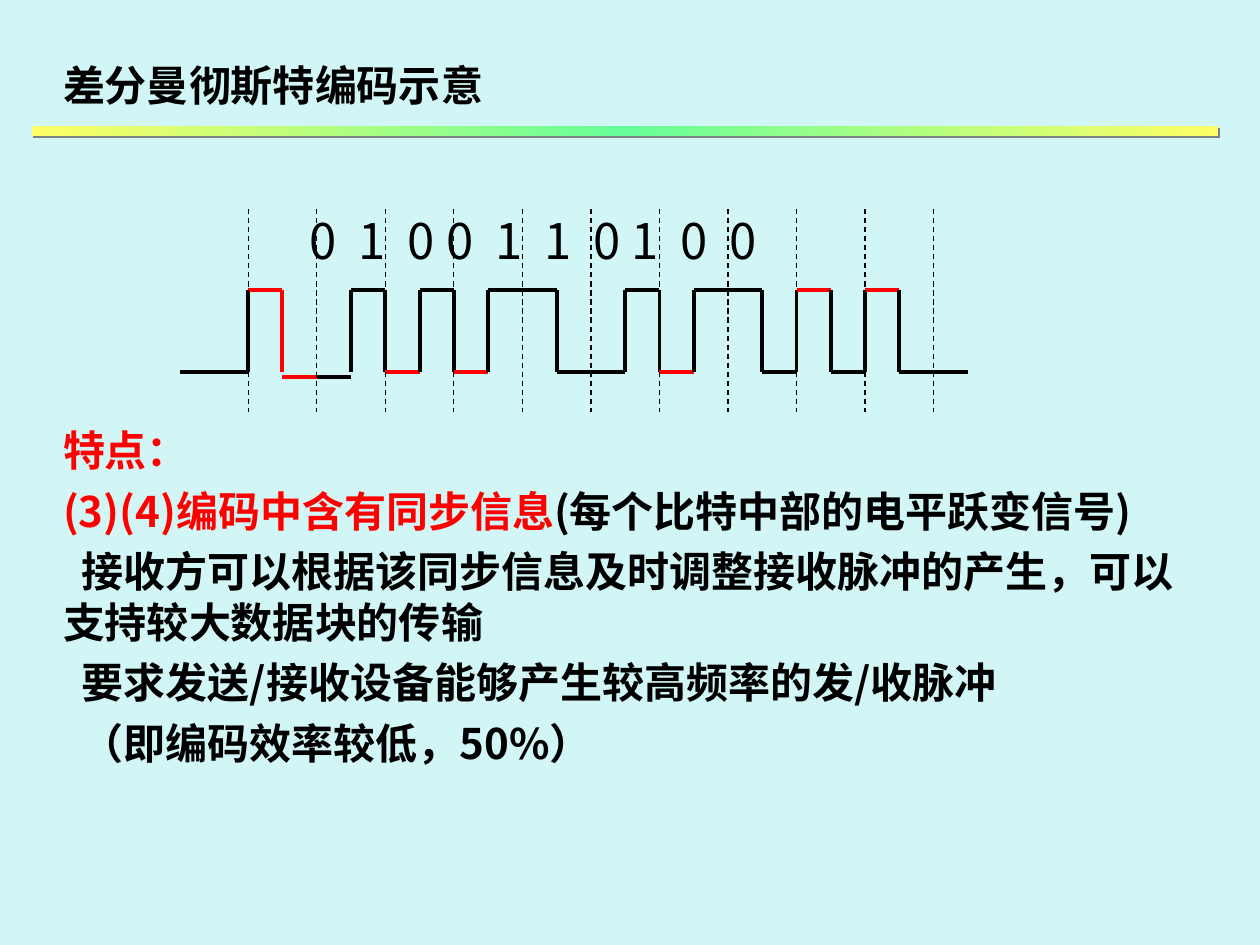
from lxml import etree
from pptx import Presentation
from pptx.dml.color import RGBColor
from pptx.enum.dml import MSO_LINE
from pptx.enum.shapes import MSO_CONNECTOR, MSO_SHAPE
from pptx.enum.text import MSO_ANCHOR, MSO_AUTO_SIZE, PP_ALIGN
from pptx.oxml.ns import qn
from pptx.util import Inches, Pt

STRAIGHT = MSO_CONNECTOR.STRAIGHT
RECTANGLE = MSO_SHAPE.RECTANGLE
DASH = MSO_LINE.DASH
TOP = MSO_ANCHOR.TOP
NO_AUTOFIT = MSO_AUTO_SIZE.NONE
LEFT = PP_ALIGN.LEFT

FONT = "Noto Sans CJK SC"
BLACK, RED = "000000", "FF0000"

# Signal geometry in inches: ten bits, two half-bits each
START, BIT, BITS = 1.97, 0.544, 10
HALF = BIT / 2
HIGH, LOW, DIP = 2.3, 2.95, 2.99
# Flat stretches: half-bits, level, colour
WAVE = [
    (2, LOW, BLACK), (1, HIGH, RED), (1, DIP, RED), (1, DIP, BLACK),
    (1, HIGH, BLACK), (1, LOW, RED), (1, HIGH, BLACK), (1, LOW, RED),
    (2, HIGH, BLACK), (2, LOW, BLACK), (1, HIGH, BLACK), (1, LOW, RED),
    (2, HIGH, BLACK), (1, LOW, BLACK), (1, HIGH, RED), (1, LOW, BLACK),
    (1, HIGH, RED), (2, LOW, BLACK),
]
RED_EDGE = 2  # the fall after the first pulse

# Bit values; the gap before some of them is a plain space, before others a wide one
DIGITS = "0100110100"
NARROW_GAPS = (3, 7)
WIDE_SPACING = 6.3  # points added to a space

# Feature paragraphs: first-line indent, runs
FEATURES = [
    (0, [("特点：", RED)]),
    (0, [("(3)(4)编码中含有同步信息", RED), ("(每个比特中部的电平跃变信号)", BLACK)]),
    (0.15, [("接收方可以根据该同步信息及时调整接收脉冲的产生，可以支持较大数据块的传输", BLACK)]),
    (0.15, [("要求发送/接收设备能够产生较高频率的发/收脉冲", BLACK)]),
    (0.15, [("（即编码效率较低，50%）", BLACK)]),
]


def rgb(value):
    return RGBColor.from_string(value)


def place(box, left, top, width, height):
    box.left, box.top = Inches(left), Inches(top)
    box.width, box.height = Inches(width), Inches(height)
    frame = box.text_frame
    frame.auto_size = NO_AUTOFIT
    frame.vertical_anchor = TOP
    frame.word_wrap = True
    return frame


def add_run(para, text, size, colour, bold, spacing=0):
    span = para.add_run()
    span.text = text
    span.font.size = Pt(size)
    span.font.bold = bold
    span.font.color.rgb = rgb(colour)
    span.font.name = FONT
    properties = span._r.get_or_add_rPr()
    etree.SubElement(properties, qn("a:ea")).set("typeface", FONT)
    if spacing:
        properties.set("spc", str(round(spacing * 100)))


def format_paragraph(para, spacing, before=0, indent=0):
    para.alignment = LEFT
    para.line_spacing = Pt(spacing)
    para.space_before = Pt(before)
    properties = para._p.get_or_add_pPr()
    properties.set("marL", "0")
    properties.set("indent", str(Inches(indent)))
    etree.SubElement(properties, qn("a:buNone"))


def add_line(group, x1, y1, x2, y2, colour, width=2.25):
    line = group.shapes.add_connector(
        STRAIGHT, Inches(x1), Inches(y1), Inches(x2), Inches(y2))
    line.line.color.rgb = rgb(colour)
    line.line.width = Pt(width)
    etree.SubElement(line._element.spPr, qn("a:effectLst"))
    return line


def add_wave(group):
    x, previous = START - BIT, LOW
    for number, (halves, level, colour) in enumerate(WAVE):
        if HIGH in (level, previous) and level != previous:
            edge = RED if number == RED_EDGE else BLACK
            add_line(group, x, HIGH, x, LOW, edge)
        add_line(group, x, level, x + halves * HALF, level, colour)
        x, previous = x + halves * HALF, level


def add_bit_borders(group):
    for number in range(BITS + 1):
        x = START + number * BIT
        add_line(group, x, 1.66, x, 3.27, BLACK, 0.75).line.dash_style = DASH


def add_digits(group):
    box = group.shapes.add_textbox(0, 0, 0, 0)
    frame = place(box, 1.93, 1.63, 4.49, 0.56)
    frame.word_wrap = False
    para = frame.paragraphs[0]
    format_paragraph(para, 33, indent=0.43)
    for number, digit in enumerate(DIGITS):
        if number:
            spacing = 0 if number in NARROW_GAPS else WIDE_SPACING
            add_run(para, " ", 28, BLACK, False, spacing)
        add_run(para, digit, 28, BLACK, False)


def add_title(page):
    para = place(page.shapes.title, 0.4, 0.42, 9.18, 0.52).paragraphs[0]
    format_paragraph(para, 28.7)
    add_run(para, "差分曼彻斯特编码示意", 24, BLACK, True)


def add_features(page):
    frame = place(page.placeholders[1], 0.4, 3.32, 9.18, 3.24)
    for number, (indent, runs) in enumerate(FEATURES):
        para = frame.add_paragraph() if number else frame.paragraphs[0]
        format_paragraph(para, 28.7, 6 if number else 0, indent)
        for text, colour in runs:
            add_run(para, text, 24, colour, True)


def add_gradient_bar(page):
    bar = page.shapes.add_shape(
        RECTANGLE, Inches(0.25), Inches(1), Inches(9.42), Inches(0.08))
    bar.line.fill.background()
    bar.fill.gradient()
    bar.fill.gradient_angle = 0
    stops = bar._element.spPr.find(".//" + qn("a:gsLst"))
    for stop in list(stops):
        stops.remove(stop)
    for percent, colour in ((0, "FFFF66"), (50, "66FF99"), (100, "FFFF66")):
        stop = etree.SubElement(stops, qn("a:gs"))
        stop.set("pos", str(percent * 1000))
        etree.SubElement(stop, qn("a:srgbClr")).set("val", colour)
    # Hard grey shadow to the lower right
    bar.shadow.inherit = False
    effects = bar._element.spPr.find(qn("a:effectLst"))
    shadow = etree.SubElement(effects, qn("a:outerShdw"))
    shadow.set("dist", str(Pt(1.4)))
    shadow.set("dir", str(45 * 60000))
    etree.SubElement(shadow, qn("a:srgbClr")).set("val", "808080")


def main():
    deck = Presentation()
    deck.slide_width, deck.slide_height = Inches(10), Inches(7.5)
    page = deck.slides.add_slide(deck.slide_layouts[1])
    page.background.fill.solid()
    page.background.fill.fore_color.rgb = rgb("D2F6F5")

    # Signal diagram
    diagram = page.shapes.add_group_shape()
    add_wave(diagram)
    add_bit_borders(diagram)
    add_digits(diagram)

    # Title, rule and text
    add_title(page)
    add_features(page)
    add_gradient_bar(page)
    deck.save("out.pptx")


if __name__ == "__main__":
    main()
